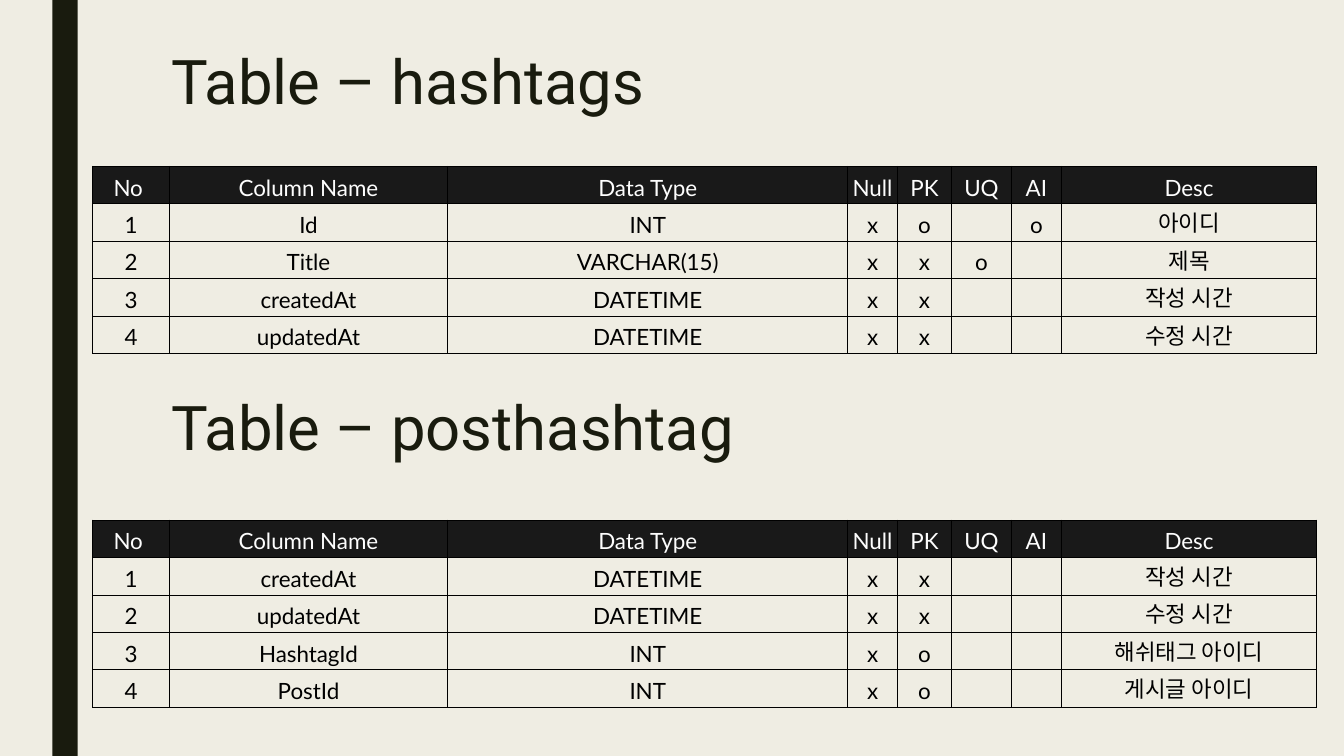
import dataclasses

import lxml.etree
import pptx
import pptx.dml.color
import pptx.enum.shapes
import pptx.enum.text
import pptx.oxml.ns
import pptx.slide
import pptx.table
import pptx.text.text
import pptx.util

Inches = pptx.util.Inches
Pt = pptx.util.Pt


@dataclasses.dataclass(frozen=True)
class Theme:
    background: str = "EFEDE3"
    dark: str = "191B0E"
    header_fill: str = "191919"
    header_text: str = "FDFDFD"
    body_text: str = "000000"
    border: str = "000000"
    title_font: str = "Roboto"
    table_font: str = "Lato"
    title_size: float = 44
    table_size: float = 16
    table_leading: float = 22.4
    border_width: float = 0.75


@dataclasses.dataclass(frozen=True)
class TableSection:
    title: str
    title_top: float
    table_top: float
    rows: list[tuple[str, ...]]


THEME = Theme()
TITLE_LEFT, TITLE_WIDTH, TITLE_HEIGHT = 1.6, 10.5, 1.62
TABLE_LEFT = 0.92
ROW_HEIGHT = 0.37
CELL_MARGIN = 0.03
COLUMN_WIDTHS = (0.76, 2.76, 3.97, 0.49, 0.54, 0.59, 0.5, 2.53)
HEADER = ("No ", "Column Name", "Data Type", "Null", "PK", "UQ", "AI", "Desc")

SECTIONS = [
    TableSection("Table – hashtags", 0.47, 1.65, [
        ("Id", "INT", "x", "o", "", "o", "아이디"),
        ("Title", "VARCHAR(15)", "x", "x", "o", "", "제목"),
        ("createdAt", "DATETIME", "x", "x", "", "", "작성 시간"),
        ("updatedAt", "DATETIME", "x", "x", "", "", "수정 시간"),
    ]),
    TableSection("Table – posthashtag", 3.9, 5.16, [
        ("createdAt", "DATETIME", "x", "x", "", "", "작성 시간"),
        ("updatedAt", "DATETIME", "x", "x", "", "", "수정 시간"),
        ("HashtagId", "INT", "x", "o", "", "", "해쉬태그 아이디"),
        ("PostId", "INT", "x", "o", "", "", "게시글 아이디"),
    ]),
]


def rgb(value: str) -> pptx.dml.color.RGBColor:
    return pptx.dml.color.RGBColor.from_string(value)


def format_runs(para: pptx.text.text._Paragraph, font: str, size: float, color: str) -> None:
    for span in para.runs:
        span.font.name = font
        span.font.size = Pt(size)
        span.font.bold = False
        span.font.color.rgb = rgb(color)


def add_side_bar(page: pptx.slide.Slide) -> None:
    bar = page.shapes.add_shape(
        pptx.enum.shapes.MSO_SHAPE.RECTANGLE, Inches(0.52), 0, Inches(0.25), Inches(7.5))
    bar.shadow.inherit = False
    bar.fill.solid()
    bar.fill.fore_color.rgb = rgb(THEME.dark)
    bar.line.fill.background()


def add_title(page: pptx.slide.Slide, title: str, top: float) -> None:
    box = page.shapes.add_textbox(
        Inches(TITLE_LEFT), Inches(top), Inches(TITLE_WIDTH), Inches(TITLE_HEIGHT))
    box.text_frame.word_wrap = True
    box.text_frame.text = title
    para = box.text_frame.paragraphs[0]
    para.line_spacing = 0.89
    format_runs(para, THEME.title_font, THEME.title_size, THEME.dark)


def add_borders(cell: pptx.table._Cell) -> None:
    properties = cell._tc.get_or_add_tcPr()
    qn = pptx.oxml.ns.qn
    for side in ("a:lnL", "a:lnR", "a:lnT", "a:lnB"):
        line = lxml.etree.SubElement(properties, qn(side), w=str(Pt(THEME.border_width)))
        fill = lxml.etree.SubElement(line, qn("a:solidFill"))
        lxml.etree.SubElement(fill, qn("a:srgbClr"), val=THEME.border)


def fill_cell(cell: pptx.table._Cell, text: str, is_header: bool, font: str) -> None:
    cell.margin_left = cell.margin_right = Inches(CELL_MARGIN)
    cell.margin_top = cell.margin_bottom = Inches(CELL_MARGIN)
    cell.vertical_anchor = pptx.enum.text.MSO_ANCHOR.MIDDLE
    # Borders come before the fill in the cell properties
    add_borders(cell)
    if is_header:
        cell.fill.solid()
        cell.fill.fore_color.rgb = rgb(THEME.header_fill)
    else:
        cell.fill.background()
    cell.text_frame.text = text
    para = cell.text_frame.paragraphs[0]
    para.alignment = pptx.enum.text.PP_ALIGN.CENTER
    para.line_spacing = Pt(THEME.table_leading)
    color = THEME.header_text if is_header else THEME.body_text
    format_runs(para, font, THEME.table_size, color)


def add_column_table(page: pptx.slide.Slide, section: TableSection) -> None:
    numbered = [(str(number), *row) for number, row in enumerate(section.rows, start=1)]
    lines = [HEADER, *numbered]
    table = page.shapes.add_table(
        len(lines), len(HEADER), Inches(TABLE_LEFT), Inches(section.table_top),
        Inches(sum(COLUMN_WIDTHS)), Inches(ROW_HEIGHT * len(lines))).table
    table.first_row = False
    table.horz_banding = False
    for column, width in zip(table.columns, COLUMN_WIDTHS):
        column.width = Inches(width)
    for row_index, line in enumerate(lines):
        table.rows[row_index].height = Inches(ROW_HEIGHT)
        is_header = row_index == 0
        for column_index, text in enumerate(line):
            is_description = not is_header and column_index == len(HEADER) - 1
            font = THEME.title_font if is_description else THEME.table_font
            fill_cell(table.cell(row_index, column_index), text, is_header, font)


def main() -> None:
    deck = pptx.Presentation()
    deck.slide_width = Inches(13.33)
    deck.slide_height = Inches(7.5)
    page = deck.slides.add_slide(deck.slide_layouts[6])
    page.background.fill.solid()
    page.background.fill.fore_color.rgb = rgb(THEME.background)

    # Side bar
    add_side_bar(page)

    # Titles with their tables
    for section in SECTIONS:
        add_title(page, section.title, section.title_top)
        add_column_table(page, section)

    deck.save("out.pptx")


if __name__ == "__main__":
    main()
